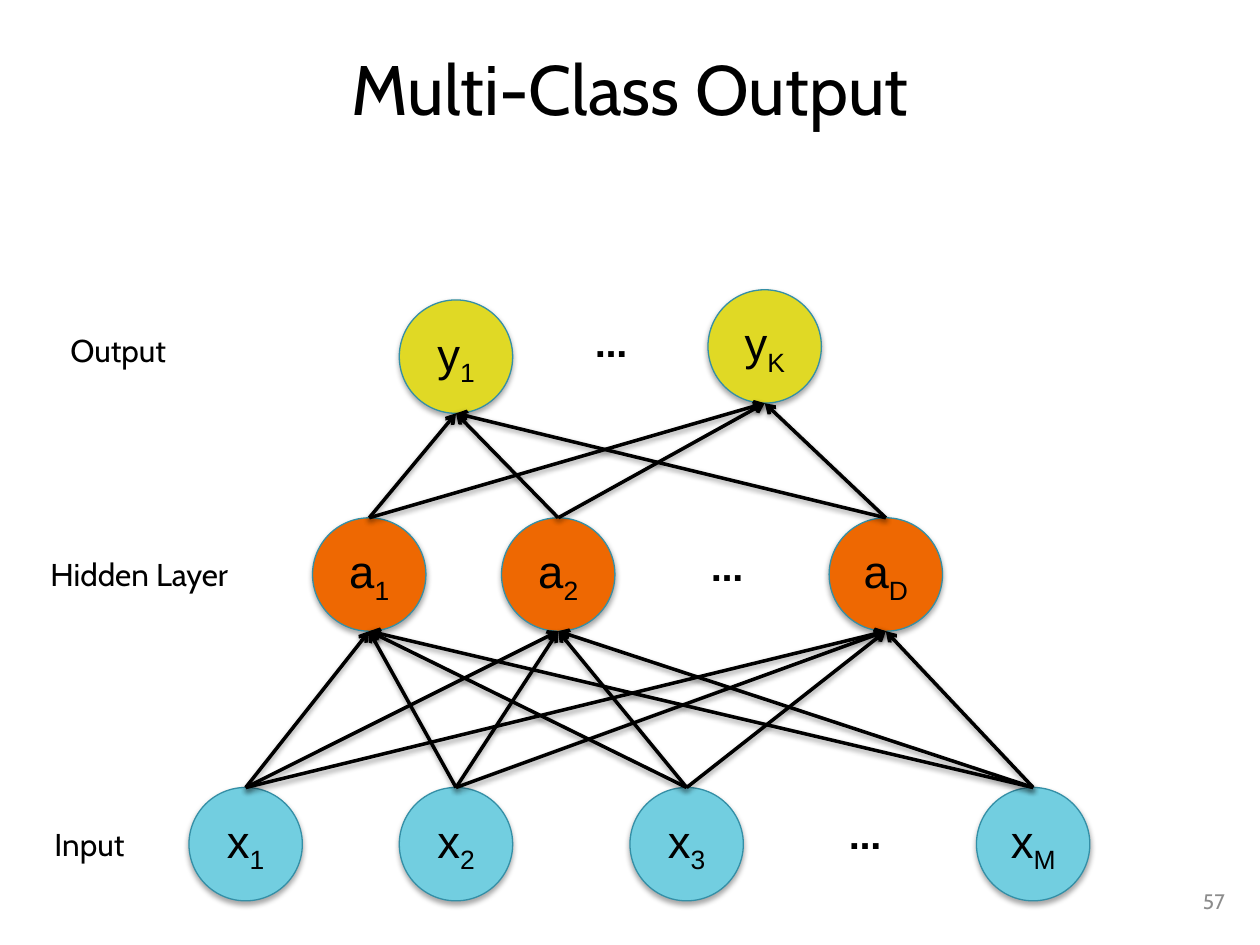
from lxml import etree
from pptx import Presentation
from pptx.dml.color import RGBColor
from pptx.enum.shapes import MSO_CONNECTOR, MSO_SHAPE
from pptx.enum.text import MSO_ANCHOR, MSO_AUTO_SIZE, PP_ALIGN
from pptx.oxml.ns import qn
from pptx.util import Pt

LEFT, CENTER, RIGHT = PP_ALIGN.LEFT, PP_ALIGN.CENTER, PP_ALIGN.RIGHT
TOP, MIDDLE = MSO_ANCHOR.TOP, MSO_ANCHOR.MIDDLE
GROW = MSO_AUTO_SIZE.SHAPE_TO_FIT_TEXT
CIRCLE = MSO_SHAPE.FLOWCHART_CONNECTOR
STRAIGHT = MSO_CONNECTOR.STRAIGHT

COLORS = {
    "text": "000000",
    "page": "8C8C8C",
    "outline": "348FA6",
    "input": "72CEE0",
    "hidden": "EE6802",
    "output": "E0D925",
}
DIAMETER = 64.8


def color(name):
    return RGBColor.from_string(COLORS[name])


def write(frame, text, subscript="", size=18, font="Cabin", fill="text",
          bold=False, align=CENTER, anchor=TOP):
    """Fill a text frame with one line, optionally ending in a subscript."""
    frame.word_wrap = True
    frame.vertical_anchor = anchor
    line = frame.paragraphs[0]
    line.alignment = align
    for part in filter(None, (text, subscript)):
        run = line.add_run()
        run.text = part
        run.font.size = Pt(size)
        run.font.name = font
        run.font.bold = bold
        run.font.color.rgb = color(fill)
    if subscript:
        run._r.get_or_add_rPr().set("baseline", "-25000")


def add_shadow(properties, opacity, distance):
    """Add a soft shadow that falls straight down."""
    effects = properties.find(qn("a:effectLst"))
    if effects is None:
        effects = etree.SubElement(properties, qn("a:effectLst"))
    shadow = etree.SubElement(
        effects, qn("a:outerShdw"), blurRad=str(Pt(3.15)),
        dist=str(Pt(distance)), dir="5400000", rotWithShape="0")
    black = etree.SubElement(shadow, qn("a:srgbClr"), val=COLORS["text"])
    etree.SubElement(black, qn("a:alpha"), val=str(opacity * 1000))


class NetworkSlide:
    def __init__(self, presentation):
        self.slide = presentation.slides.add_slide(presentation.slide_layouts[5])
        self.shapes = self.slide.shapes

    def title(self, text, left, top, width, height):
        title = self.shapes.title
        title.left, title.top = Pt(left), Pt(top)
        title.width, title.height = Pt(width), Pt(height)
        write(title.text_frame, text, size=40, anchor=MIDDLE)

    def label(self, text, left, top, width, height=28.8, grow=True, **style):
        box = self.shapes.add_textbox(Pt(left), Pt(top), Pt(width), Pt(height))
        write(box.text_frame, text, **style)
        if grow:
            box.text_frame.auto_size = GROW

    def dots(self, left, top):
        self.label("…", left, top, 41.8, 38.9, size=26, bold=True, anchor=MIDDLE)

    def unit(self, layer, letter, index, center, top):
        unit = self.shapes.add_shape(
            CIRCLE, Pt(center - DIAMETER / 2), Pt(top), Pt(DIAMETER), Pt(DIAMETER))
        unit.fill.solid()
        unit.fill.fore_color.rgb = color(layer)
        unit.line.color.rgb = color("outline")
        unit.line.width = Pt(0.75)
        unit.shadow.inherit = False
        add_shadow(unit._element.spPr, 35, 1.8)
        frame = unit.text_frame
        frame.margin_left = frame.margin_right = 0
        write(frame, letter, index, size=26, font="Arial", anchor=MIDDLE)
        return unit

    def arrow(self, upper, lower):
        """Link two units; the arrowhead touches the bottom of the upper one."""
        link = self.shapes.add_connector(
            STRAIGHT, upper.left + upper.width // 2, upper.top + upper.height,
            lower.left + lower.width // 2, lower.top)
        link.end_connect(lower, 0)
        link.line.color.rgb = color("text")
        link.line.width = Pt(2)
        etree.SubElement(link.line._get_or_add_ln(), qn("a:headEnd"), type="arrow")
        add_shadow(link._element.spPr, 38, 1.6)


def main():
    presentation = Presentation()
    presentation.slide_width, presentation.slide_height = Pt(720), Pt(540)
    network = NetworkSlide(presentation)

    # Title and page number
    network.title("Multi-Class Output", 36, 21.6, 648, 56.9)
    network.label("57", 638.6, 500.4, 68.4, grow=False, size=12, fill="page",
                  align=RIGHT, anchor=MIDDLE)

    # Layers, bottom to top: (index, center, top) of each unit
    layers = [
        ("input", "x", [("1", 140.4, 450), ("2", 260.6, 450),
                        ("3", 392.4, 450), ("M", 590.4, 450)]),
        ("hidden", "a", [("1", 211, 295.9), ("2", 319, 295.9),
                         ("D", 506.2, 295.9)]),
        ("output", "y", [("1", 260.6, 171.4), ("K", 437, 165.6)]),
    ]
    rows = [[network.unit(layer, letter, *place) for place in places]
            for layer, letter, places in layers]

    # Omitted units
    for left, top in [(473.8, 455.8), (394.6, 302.4), (328.3, 174.2)]:
        network.dots(left, top)

    # Every unit feeds every unit of the layer above
    for lower_row, upper_row in zip(rows, rows[1:]):
        for upper in upper_row:
            for lower in lower_row:
                network.arrow(upper, lower)

    # Layer names
    network.label("Output", 33.1, 185.8, 102.2, align=LEFT)
    network.label("Hidden Layer", -1.4, 313.9, 162)
    network.label("Input", 0, 468, 102.2)

    presentation.save("out.pptx")


if __name__ == "__main__":
    main()
